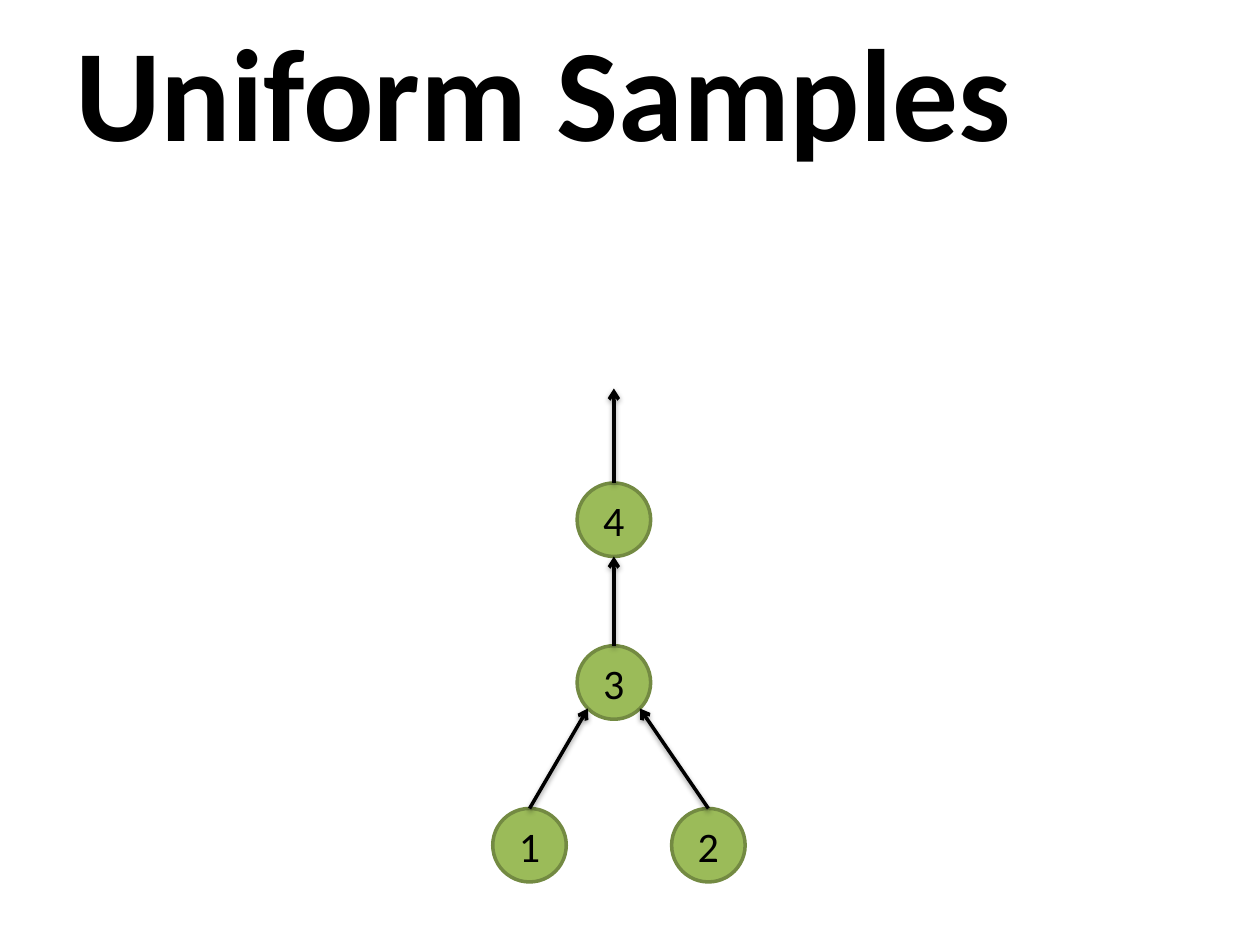
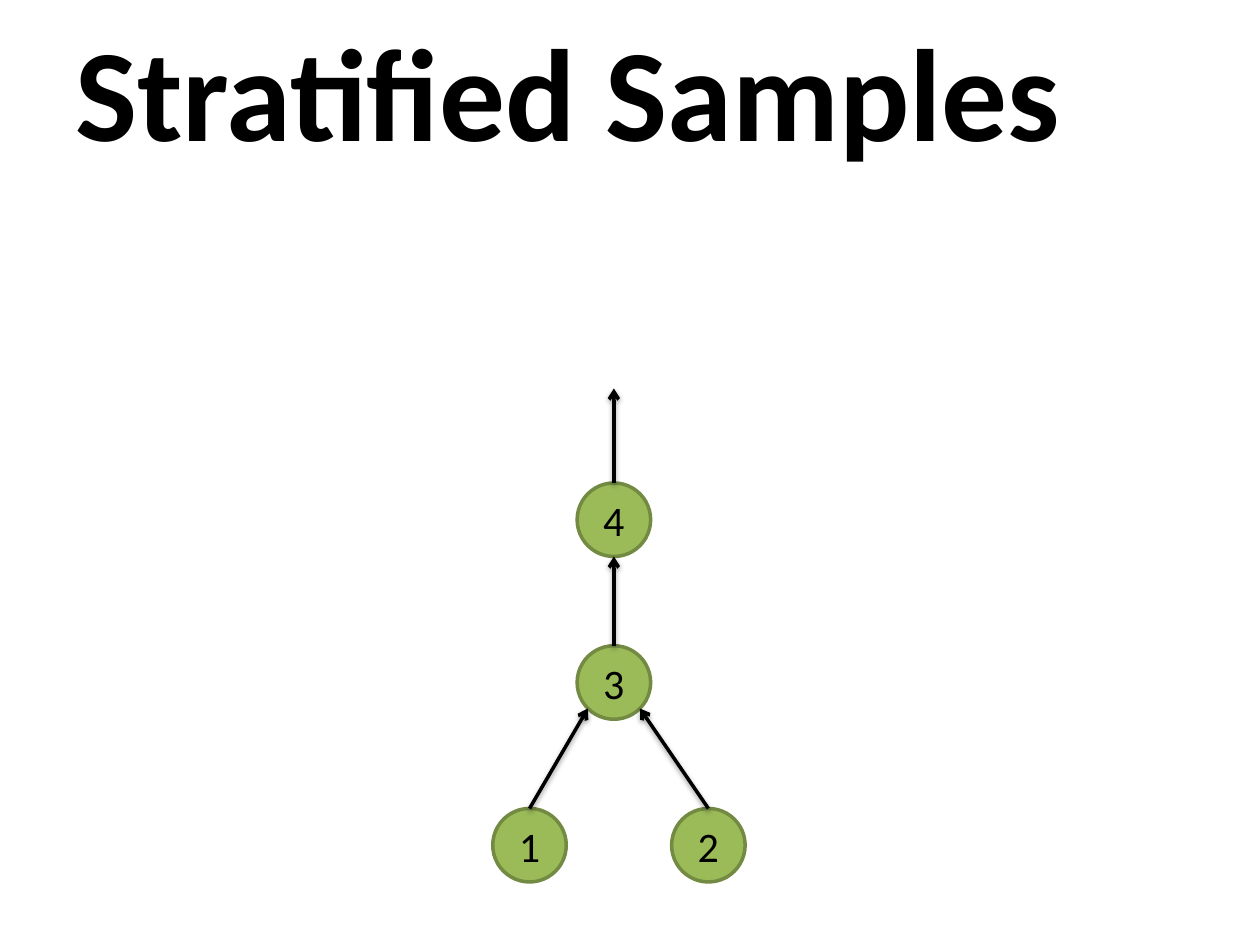
from math import sqrt

from lxml.etree import SubElement
from pptx import Presentation
from pptx.dml.color import RGBColor
from pptx.enum.shapes import MSO_CONNECTOR as Connector, MSO_SHAPE as Shape
from pptx.enum.text import MSO_ANCHOR as Anchor, PP_ALIGN as Align
from pptx.oxml.ns import qn
from pptx.util import Pt

FONT = "Calibri"
BLACK, GREEN, DARK_GREEN = "000000", "9BBB59", "738A42"
LINE_WIDTH = 2
TITLE_BOX = (36, 6, 648, 90)
TREE_BOX = (281.6, 222)
DIAMETER = 42
ARROW_HEIGHT = 54  # arrow leaving the root
LEVEL_STEP = 93
# Node label: (left offset, level from the top)
NODES = {"4": (48.2, 0), "3": (48.2, 1), "1": (0, 2), "2": (102.2, 2)}


def color(hex_value):
    return RGBColor.from_string(hex_value)


def add_run(paragraph, text, size, bold=False):
    run = paragraph.add_run()
    run.text = text
    run.font.name = FONT
    run.font.size = Pt(size)
    run.font.bold = bold
    run.font.color.rgb = color(BLACK)


def add_title(slide, text, box):
    frame = slide.shapes.add_textbox(*map(Pt, box)).text_frame
    frame.word_wrap = True
    frame.vertical_anchor = Anchor.MIDDLE
    add_run(frame.paragraphs[0], text, 75, bold=True)


def add_node(slide, label, left, top):
    node = slide.shapes.add_shape(
        Shape.OVAL, Pt(left), Pt(top), Pt(DIAMETER), Pt(DIAMETER))
    node.shadow.inherit = False
    node.fill.solid()
    node.fill.fore_color.rgb = color(GREEN)
    node.line.color.rgb = color(DARK_GREEN)
    node.line.width = Pt(LINE_WIDTH)
    node.text_frame.vertical_anchor = Anchor.MIDDLE
    paragraph = node.text_frame.paragraphs[0]
    paragraph.alignment = Align.CENTER
    add_run(paragraph, label, 24)
    return node


def add_arrow(slide, node, end_x, end_y):
    """Draw an arrow from the top of a node to a point."""
    arrow = slide.shapes.add_connector(
        Connector.STRAIGHT, node.left, node.top, Pt(end_x), Pt(end_y))
    arrow.begin_connect(node, 0)
    arrow.line.color.rgb = color(BLACK)
    arrow.line.width = Pt(LINE_WIDTH)
    properties = arrow.line._get_or_add_ln()
    SubElement(properties, qn("a:tailEnd"), type="arrow")
    # Soft shadow below the line
    effects = SubElement(properties.getparent(), qn("a:effectLst"))
    shadow = SubElement(effects, qn("a:outerShdw"), blurRad=str(Pt(3.1)),
                        dist=str(Pt(1.6)), dir="5400000", rotWithShape="0")
    tint = SubElement(shadow, qn("a:srgbClr"), val=BLACK)
    SubElement(tint, qn("a:alpha"), val="38000")


def add_tree(slide, box):
    left, top = box
    # Nodes
    places = {label: (left + x, top + ARROW_HEIGHT + level * LEVEL_STEP)
              for label, (x, level) in NODES.items()}
    nodes = {label: add_node(slide, label, *place)
             for label, place in places.items()}
    # Leaves point at the lower diagonals of node 3
    radius = DIAMETER / 2
    center_x, center_y = (value + radius for value in places["3"])
    diagonal = radius / sqrt(2)
    add_arrow(slide, nodes["1"], center_x - diagonal, center_y + diagonal)
    add_arrow(slide, nodes["2"], center_x + diagonal, center_y + diagonal)
    # Trunk
    add_arrow(slide, nodes["3"], center_x, places["4"][1] + DIAMETER)
    add_arrow(slide, nodes["4"], center_x, top)


def add_samples_slide(presentation, title):
    slide = presentation.slides.add_slide(presentation.slide_layouts[6])
    add_title(slide, title, TITLE_BOX)
    add_tree(slide, TREE_BOX)


def main():
    presentation = Presentation()
    presentation.slide_width, presentation.slide_height = Pt(720), Pt(540)
    for title in ("Uniform Samples", "Stratified Samples"):
        add_samples_slide(presentation, title)
    presentation.save("out.pptx")


if __name__ == "__main__":
    main()
